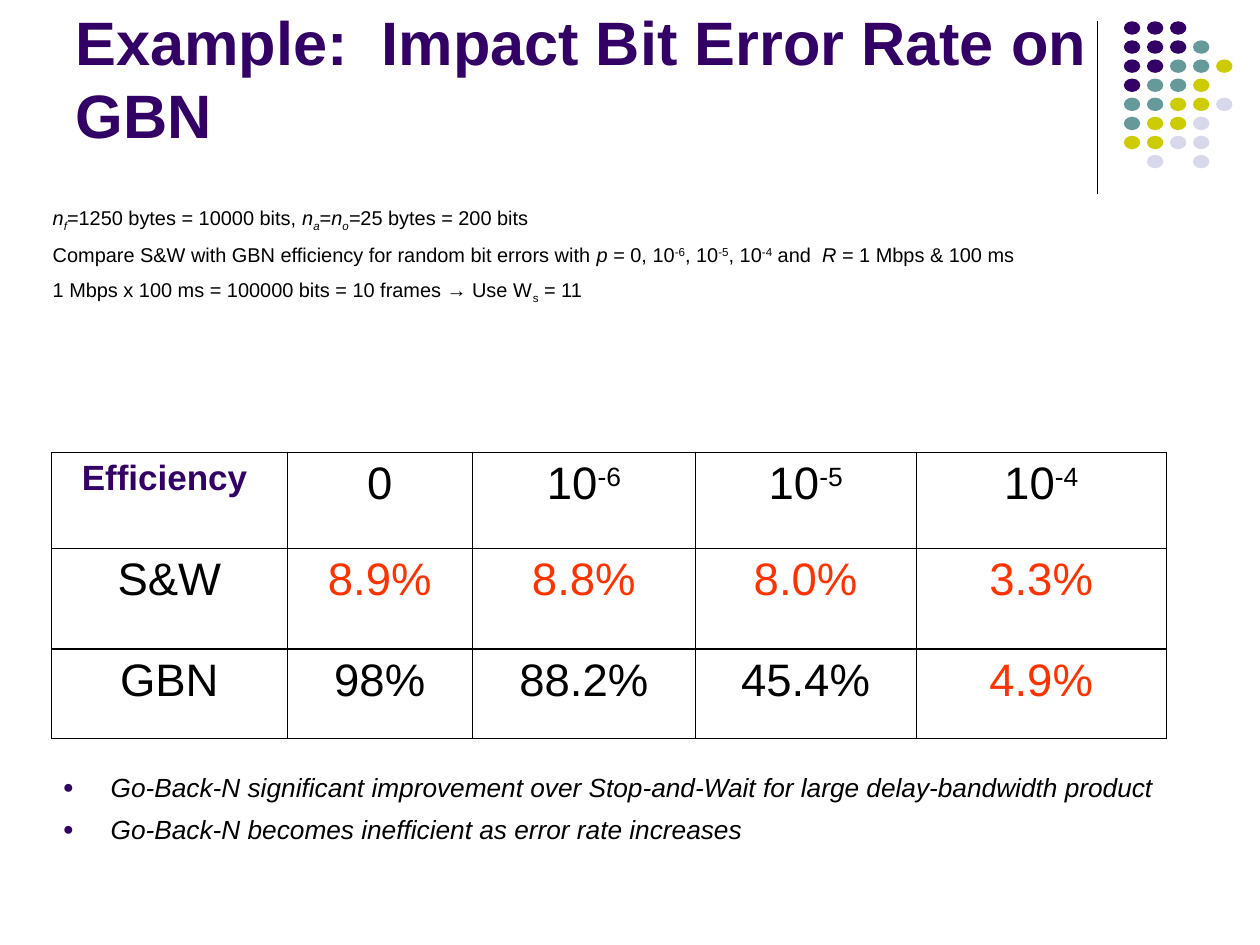
from lxml import etree
from pptx import Presentation
from pptx import util as u
from pptx.dml.color import RGBColor
from pptx.enum import shapes, text
from pptx.oxml import ns

WIDTH, HEIGHT = u.Inches(10), u.Inches(7.5)
PURPLE, BLACK, RED = "330066", "000000", "FF3300"
DOT_COLORS = {"P": PURPLE, "T": "669999", "Y": "CCCC00", "L": "D8D8EC"}
DOT_ROWS = ["PPP", "PPPT", "PPTTY", "PTTY", "TTYYL", "TYYL", "YYLL", " L L"]
BASELINES = {"_": "-25000", "^": "30000"}
THICK, THIN = 1.08, 0.45

SETUP = [
    [("n", "i"), ("f", "i_"), ("=1250 bytes = 10000 bits, ", ""), ("n", "i"),
     ("a", "i_"), ("=", ""), ("n", "i"), ("o", "i_"), ("=", "i"),
     ("25 bytes = 200 bits", "")],
    [("Compare S&W with GBN efficiency for random bit errors with ", ""),
     ("p ", "i"), ("= 0, 10", ""), ("-6", "^"), (", 10", ""), ("-5", "^"),
     (", 10", ""), ("-4", "^"), (" and  ", ""), ("R ", "i"),
     ("= 1 Mbps & 100 ms", "")],
    [("1 Mbps x 100 ms = 100000 bits = 10 frames → Use W", ""), ("s", "_"),
     (" = 11", "")],
]
CONCLUSIONS = [
    [("Go-Back-N significant improvement over Stop-and-Wait "
      "for large delay-bandwidth product", "i")],
    [("Go-Back-N becomes inefficient as error rate increases", "i")],
]
HEADER = [[("Efficiency ", "b")], [("0", "")]] + [
    [("10", ""), (power, "^")] for power in ("-6", "-5", "-4")]
EFFICIENCIES = [
    ["S&W", "8.9%", "8.8%", "8.0%", "3.3%"],
    ["GBN", "98%", "88.2%", "45.4%", "4.9%"],
]
LOW_LIMIT = 10


def across(percent):
    return round(WIDTH * percent / 100)


def down(percent):
    return round(HEIGHT * percent / 100)


def area(left, top, width, height):
    return across(left), down(top), across(width), down(height)


def color(hex_code):
    return RGBColor.from_string(hex_code)


def add_child(parent, tag, **attributes):
    return etree.SubElement(parent, ns.qn(tag), attributes)


def write_runs(paragraph, runs, size, hex_code):
    for words, style in runs:
        run = paragraph.add_run()
        run.text = words
        font = run.font
        font.name, font.size = "Arial", u.Pt(size)
        font.bold, font.italic = "b" in style, "i" in style
        font.color.rgb = color(hex_code)
        for mark, offset in BASELINES.items():
            if mark in style:
                run.font._element.set("baseline", offset)


def hang(paragraph, bulleted):
    properties = paragraph._p.get_or_add_pPr()
    properties.set("marL", str(u.Inches(0.38)))
    properties.set("indent", str(-u.Inches(0.38)))
    if bulleted:
        add_child(add_child(properties, "a:buClr"), "a:srgbClr", val=PURPLE)
        add_child(properties, "a:buSzPct", val="70000")
        add_child(properties, "a:buFont", typeface="Arial")
        add_child(properties, "a:buChar", char="●")


def add_text(slide, place, lines, size, hex_code=BLACK,
             anchor=text.MSO_ANCHOR.TOP, hanging=True, bulleted=False):
    frame = slide.shapes.add_textbox(*place).text_frame
    frame.word_wrap = True
    frame.vertical_anchor = anchor
    for index, runs in enumerate(lines):
        paragraph = frame.add_paragraph() if index else frame.paragraphs[0]
        if hanging:
            hang(paragraph, bulleted)
        if index:
            paragraph.space_before = u.Pt(6)
        write_runs(paragraph, runs, size, hex_code)


def add_divider(slide):
    x = across(87.1)
    divider = slide.shapes.add_connector(
        shapes.MSO_CONNECTOR.STRAIGHT, x, down(2.27), x, down(20.53))
    divider.line.color.rgb = color(BLACK)
    divider.line.width = u.Pt(0.75)
    add_child(divider._element.spPr, "a:effectLst")


def add_dots(slide):
    for row, marks in enumerate(DOT_ROWS):
        for column, mark in enumerate(marks):
            if mark not in DOT_COLORS:
                continue
            dot = slide.shapes.add_shape(
                shapes.MSO_SHAPE.OVAL,
                *area(89.2 + 1.83 * column, 2.25 + 2.02 * row, 1.3, 1.42))
            dot.shadow.inherit = False
            dot.fill.solid()
            dot.fill.fore_color.rgb = color(DOT_COLORS[mark])
            dot.line.fill.background()


def add_border(cell, side, weight):
    border = add_child(cell._tc.get_or_add_tcPr(), f"a:ln{side}",
                       w=str(u.Pt(weight)))
    add_child(add_child(border, "a:solidFill"), "a:srgbClr", val=BLACK)


def fill_cell(cell, runs, size, hex_code, thick_sides):
    paragraph = cell.text_frame.paragraphs[0]
    paragraph.alignment = text.PP_ALIGN.CENTER
    write_runs(paragraph, runs, size, hex_code)
    for side in "LRTB":
        add_border(cell, side, THICK if side in thick_sides else THIN)
    cell.fill.background()


def add_efficiency_table(slide):
    rows = HEADER, *[[[(value, "")] for value in row] for row in EFFICIENCIES]
    last_column = len(HEADER) - 1
    table = slide.shapes.add_table(
        len(rows), len(HEADER), *area(4.1, 47.87, 88.5, 30.27)).table
    table.first_row = table.horz_banding = False
    for column, share in zip(table.columns, (18.7, 14.7, 17.7, 17.5, 19.9)):
        column.width = across(share)
    for row, share in zip(table.rows, (10.13, 10.67, 9.47)):
        row.height = down(share)
    for r, row in enumerate(rows):
        for c, runs in enumerate(row):
            words = runs[0][0]
            is_label = r == 0 and c == 0
            is_low = words.endswith("%") and float(words[:-1]) < LOW_LIMIT
            thick_sides = {side for side, thick in (
                ("L", c == 0), ("R", c == last_column),
                ("T", r != 1), ("B", r != 0)) if thick}
            fill_cell(table.cell(r, c), runs, 20 if is_label else 26,
                      PURPLE if is_label else RED if is_low else BLACK,
                      thick_sides)


def main():
    deck = Presentation()
    deck.slide_width, deck.slide_height = WIDTH, HEIGHT
    slide = deck.slides.add_slide(deck.slide_layouts[6])
    add_divider(slide)
    add_dots(slide)
    add_text(slide, area(5, 1.73, 82.5, 14.93),
             [[("Example:  Impact Bit Error Rate on GBN", "b")]], 35, PURPLE,
             anchor=text.MSO_ANCHOR.BOTTOM, hanging=False)
    add_text(slide, area(3.2, 21.07, 94.7, 12.53), SETUP, 11.4)
    add_efficiency_table(slide)
    add_text(slide, area(4, 80.93, 93.5, 10), CONCLUSIONS, 15, bulleted=True)
    deck.save("out.pptx")


if __name__ == "__main__":
    main()
